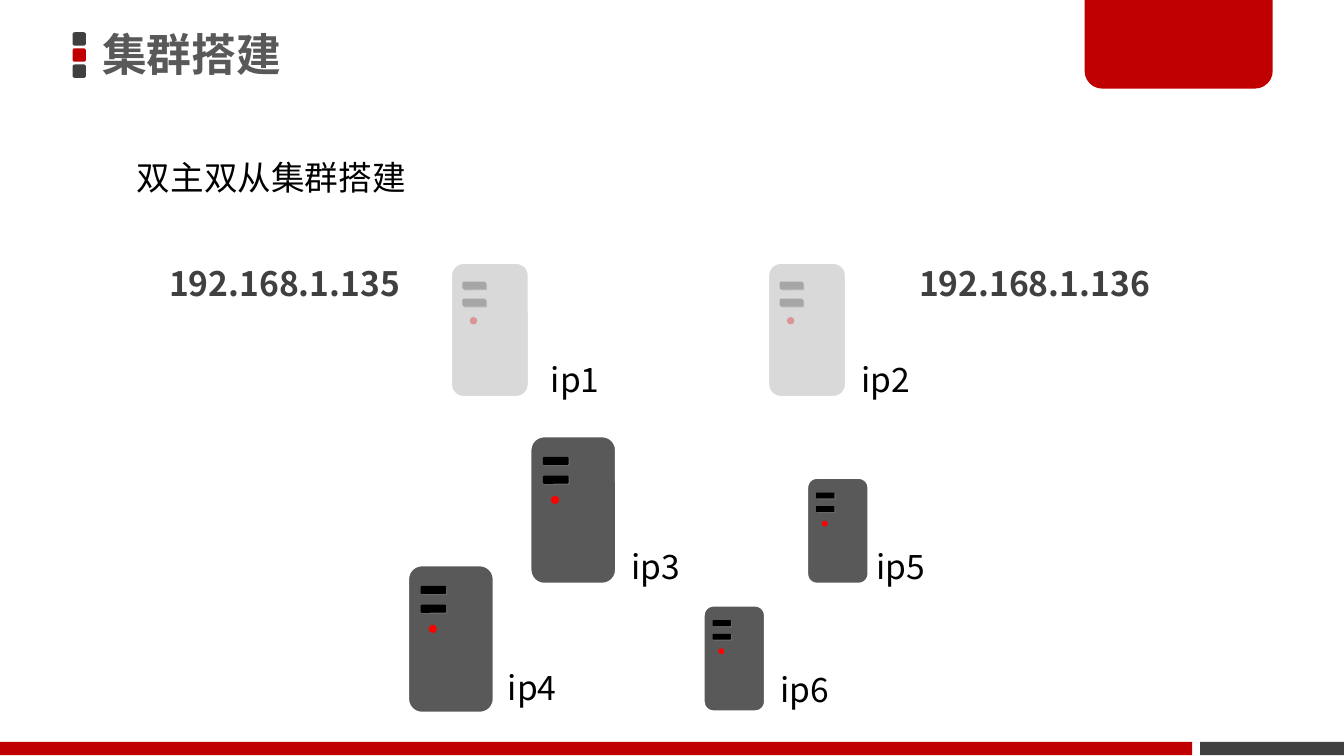
"""Build the cluster setup slide with six servers and their labels."""
from lxml.etree import SubElement
from pptx import Presentation
from pptx.dml.color import RGBColor
from pptx.enum.shapes import MSO_SHAPE
from pptx.enum.text import MSO_ANCHOR
from pptx.oxml.ns import qn
from pptx.util import Inches, Pt

FONT = "Noto Sans CJK SC"
RED = RGBColor(0xC0, 0x00, 0x00)
BRIGHT_RED = RGBColor(0xFF, 0x00, 0x00)
PINK = RGBColor(0xD9, 0x96, 0x94)
DARK = RGBColor(0x40, 0x40, 0x40)
GRAY = RGBColor(0x59, 0x59, 0x59)
MID_GRAY = RGBColor(0xA6, 0xA6, 0xA6)
LIGHT_GRAY = RGBColor(0xD9, 0xD9, 0xD9)
BLACK = RGBColor(0x00, 0x00, 0x00)
WHITE = RGBColor(0xFF, 0xFF, 0xFF)

TITLE = "集群搭建"
SUBTITLE = "双主双从集群搭建"
ADDRESSES = ("192.168.1.135", "192.168.1.136")

ON = (GRAY, BLACK, BRIGHT_RED)
OFF = (LIGHT_GRAY, MID_GRAY, PINK)
SERVERS = [
    ("ip3", 3.94, 3.24, 1.11, ON, (4.6, 3.86)),
    ("ip5", 6.0, 3.55, 0.8, ON, (6.42, 3.86)),
    ("ip1", 3.35, 1.95, 1.01, OFF, (4.0, 2.47)),
    ("ip2", 5.71, 1.95, 1.01, OFF, (6.31, 2.47)),
    ("ip4", 3.03, 4.2, 1.11, ON, (3.68, 4.76)),
    ("ip6", 5.23, 4.5, 0.8, ON, (5.71, 4.78)),
]
SERVER_W, SERVER_H = 0.65, 1.11
SLOT_TOPS = (0.16, 0.3)


def add_shape(shapes, kind, x, y, w, h, fill=None):
    sp = shapes.add_shape(kind, Inches(x), Inches(y), Inches(w), Inches(h))
    sp.shadow.inherit = False
    sp.line.fill.background()
    if fill is None:
        sp.fill.background()
    else:
        sp.fill.solid()
        sp.fill.fore_color.rgb = fill
    return sp


def add_shadow(sp):
    effects = sp._element.spPr.find(qn("a:effectLst"))
    shadow = SubElement(effects, qn("a:outerShdw"), dist=str(Pt(1)),
                        dir=str(45 * 60000), algn="ctr", rotWithShape="0")
    color = SubElement(shadow, qn("a:srgbClr"), val="808080")
    SubElement(color, qn("a:alpha"), val="40000")


def add_text(slide, text, x, y, w, h, size=18, color=BLACK, bold=False,
             spacing=1.5, tab=None):
    box = slide.shapes.add_textbox(Inches(x), Inches(y), Inches(w), Inches(h))
    tf = box.text_frame
    tf.word_wrap = True
    p = tf.paragraphs[0]
    p.add_run().text = text
    p.line_spacing = spacing
    p_pr = p._p.get_or_add_pPr()
    if tab is not None:
        tabs = SubElement(p_pr, qn("a:tabLst"))
        SubElement(tabs, qn("a:tab"), pos=str(Inches(tab)), algn="l")
    p.font.size = Pt(size)
    p.font.bold = bold
    p.font.color.rgb = color
    p.font.name = FONT
    SubElement(p_pr.find(qn("a:defRPr")), qn("a:ea"), typeface=FONT)
    return tf


def add_server(slide, x, y, height, colors):
    body, slot, light = colors
    k = height / SERVER_H
    shapes = slide.shapes.add_group_shape().shapes
    frame = (x, y, SERVER_W * k, height)
    add_shape(shapes, MSO_SHAPE.ROUNDED_RECTANGLE, *frame, body)
    outline = add_shape(shapes, MSO_SHAPE.ROUNDED_RECTANGLE, *frame)
    outline.line.color.rgb = WHITE
    outline.line.width = Pt(2)
    for top in SLOT_TOPS:
        add_shadow(add_shape(shapes, MSO_SHAPE.ROUNDED_RECTANGLE, x + 0.1 * k,
                             y + top * k, 0.19 * k, 0.06 * k, slot))
    add_shape(shapes, MSO_SHAPE.OVAL, x + 0.16 * k, y + 0.45 * k,
              0.06 * k, 0.06 * k, light)


def add_decoration(slide):
    shapes = slide.shapes
    markers = shapes.add_group_shape().shapes
    for i, color in enumerate((DARK, RED, DARK)):
        add_shape(markers, MSO_SHAPE.ROUNDED_RECTANGLE,
                  0.54, 0.24 + 0.12 * i, 0.1, 0.1, color)
    add_shape(shapes, MSO_SHAPE.RECTANGLE, 8.93, 5.52, 1.07, 0.1, DARK)
    corner = add_shape(shapes, MSO_SHAPE.ROUND_2_SAME_RECTANGLE,
                       8.07, 0, 1.4, 0.66, RED)
    corner.adjustments[0] = 0
    corner.adjustments[1] = 0.2
    add_shape(shapes, MSO_SHAPE.RECTANGLE, 0, 5.52, 8.87, 0.1, RED)


def main():
    prs = Presentation()
    prs.slide_width = Inches(10)
    prs.slide_height = prs.slide_width * 9 // 16
    slide = prs.slides.add_slide(prs.slide_layouts[6])
    add_decoration(slide)
    add_text(slide, SUBTITLE, 0.92, 0.97, 7.15, 0.5)
    tf = add_text(slide, TITLE, 0.69, 0.09, 5.89, 0.67, 24, GRAY, True, 0.9)
    tf.vertical_anchor = MSO_ANCHOR.MIDDLE
    tf.margin_left = tf.margin_right = Inches(0.07)
    tf.margin_top = tf.margin_bottom = Inches(0.04)
    for name, x, y, height, colors, label in SERVERS:
        add_server(slide, x, y, height, colors)
        add_text(slide, name, *label, 0.71, 0.56)
    add_text(slide, "\t".join(ADDRESSES), 1.16, 1.76, 8.62, 0.51,
             color=DARK, bold=True, tab=5.58)
    prs.save("out.pptx")


if __name__ == "__main__":
    main()
